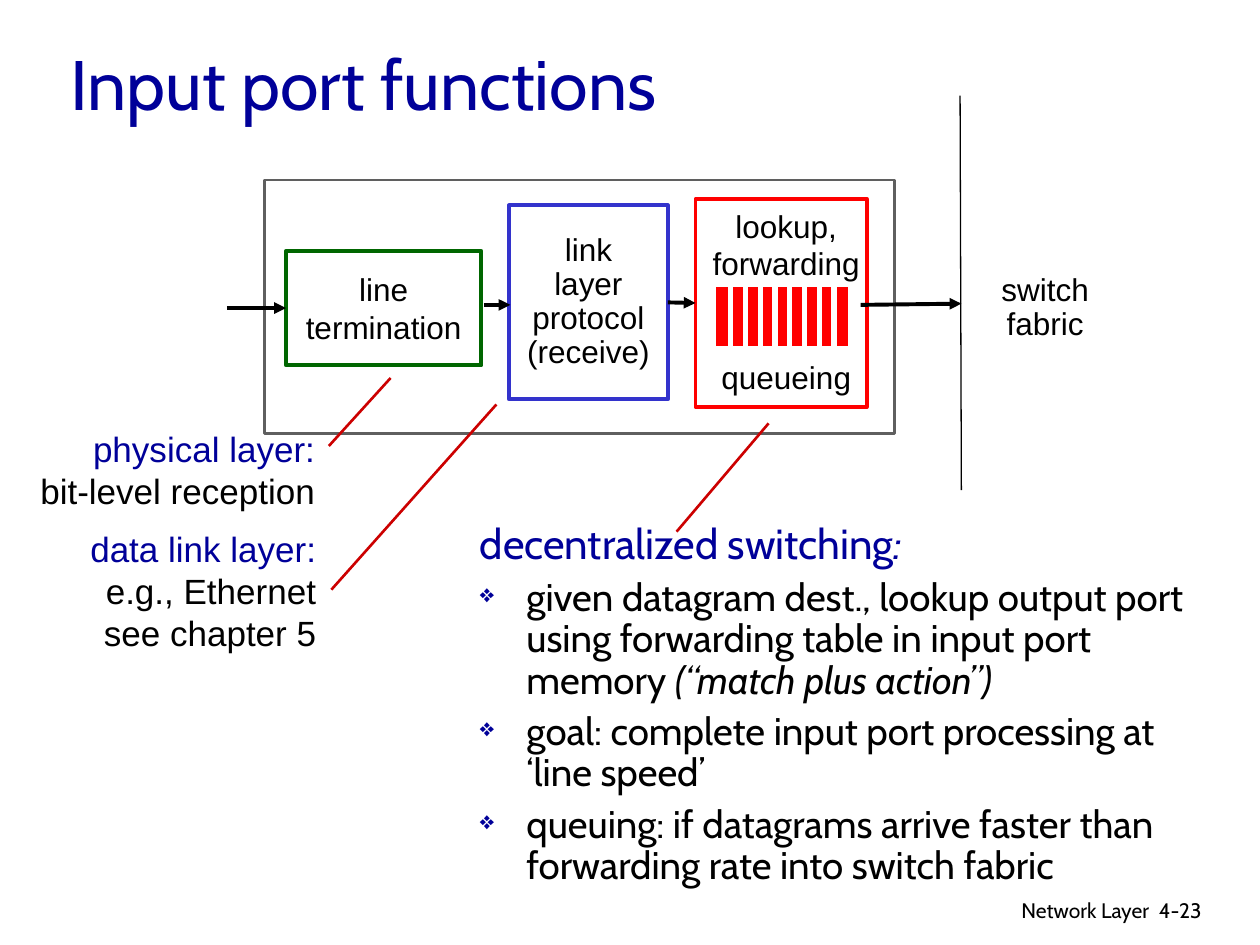
from pptx import Presentation
from pptx.dml.color import RGBColor
from pptx.enum.shapes import MSO_CONNECTOR as CONN, MSO_SHAPE as SHAPE
from pptx.enum.text import MSO_ANCHOR as ANCHOR, PP_ALIGN as ALIGN
from pptx.oxml.ns import qn
from pptx.util import Inches, Pt
from lxml.etree import SubElement

# Grid of 100 columns by 75 rows
COLS, ROWS = 100, 75
UNIT = Inches(10) / COLS
NAVY, BLACK, WHITE, RED, CRIMSON = "000099", "000000", "FFFFFF", "FF0000", "CC0000"
LEFT, CENTER, RIGHT = ALIGN.LEFT, ALIGN.CENTER, ALIGN.RIGHT


def color(hex_value):
    return RGBColor.from_string(hex_value)


def grid(*values):
    return [round(v * UNIT) for v in values]


def inside(box, x, y, w, h):
    """Box placed relative to the corner of another box."""
    return box[0] + x, box[1] + y, w, h


def style_run(r, size, font, hex_value, italic=False):
    r.font.size, r.font.name, r.font.italic = Pt(size), font, italic
    r.font.color.rgb = color(hex_value)


def write(sp, lines, size, font="Arial", colors=(BLACK,), align=CENTER,
          anchor=ANCHOR.TOP, wrap=False, spacing=1.0):
    """One paragraph per line; the last colour goes on for the remaining lines."""
    tf = sp.text_frame
    tf.text = "\n".join(lines)
    tf.word_wrap, tf.vertical_anchor = wrap, anchor
    for i, p in enumerate(tf.paragraphs):
        p.alignment, p.line_spacing = align, spacing
        for r in p.runs:
            style_run(r, size, font, colors[min(i, len(colors) - 1)])
    return tf


def add_text(shapes, box, lines, size, **options):
    return write(shapes.add_textbox(*grid(*box)), lines, size, **options)


def add_rect(shapes, box, line, width, fill=WHITE):
    sp = shapes.add_shape(SHAPE.RECTANGLE, *grid(*box))
    sp.shadow.inherit = False
    sp.fill.solid()
    sp.fill.fore_color.rgb = color(fill)
    sp.line.color.rgb = color(line)
    sp.line.width = Pt(width)
    return sp


def add_line(shapes, start, end, hex_value, width, arrow=False):
    s = shapes.add_connector(CONN.STRAIGHT, *grid(*start, *end))
    s.line.color.rgb = color(hex_value)
    s.line.width = Pt(width)
    if arrow:
        SubElement(s.line._get_or_add_ln(), qn("a:tailEnd"), type="triangle")
    SubElement(s._element.spPr, qn("a:effectLst"))
    return s


def add_queue(shapes, box):
    x, y, w, h = box
    group = shapes.add_group_shape().shapes
    add_rect(group, box, WHITE, 3, fill=RED)
    for i in range(8):
        stripe = x + 1.4 + 1.17 * i
        add_line(group, (stripe, y + 0.05), (stripe, y + h - 0.2), WHITE, 3)


def add_port(shapes, box):
    x, y, w, h = box
    add_rect(shapes, box, "5F5F5F", 1.5)

    # Three stages
    line_end = add_rect(shapes, inside(box, 1.7, 5.6, 15.5, 9.1), "006600", 2.25)
    write(line_end, ["line", "termination"], 18, anchor=ANCHOR.MIDDLE)
    link = add_rect(shapes, inside(box, 19.4, 2, 12.6, 15.4), "3333CC", 2.25)
    write(link, ["link", "layer", "protocol", "(receive)"], 18,
          anchor=ANCHOR.MIDDLE, spacing=0.9)
    lookup = add_rect(shapes, inside(box, 34.2, 1.5, 13.6, 16.5), RED, 2.25)
    for row, height, lines in ((1.6, 7, ["lookup,", "forwarding"]),
                               (13.6, 4, ["queueing"])):
        add_text(shapes, inside(box, 33.4, row, 16, height), lines, 18)
    add_queue(shapes, inside(box, 35.6, 8.3, 10.9, 5.1))

    # Arrows through the stages
    entry = add_line(shapes, (x - 3, y + 10.15), (x + 1.7, y + 10.15), BLACK, 2.25, True)
    entry.end_connect(line_end, 1)
    add_line(shapes, (x + 17.4, y + 9.9), (x + 19.5, y + 9.9), BLACK, 2.25, True)
    s = add_line(shapes, (x + 32, y + 9.7), (x + 34.2, y + 9.7), BLACK, 2.25, True)
    s.begin_connect(link, 3)
    s.end_connect(lookup, 1)
    add_line(shapes, (x + 47.3, y + 9.9), (x + 55.3, y + 9.8), BLACK, 2.25, True)


def add_fabric(shapes, box):
    x, y, w, h = box
    add_line(shapes, (x, y), (x + 0.1, y + h), BLACK, 0.75)
    add_text(shapes, inside(box, 1, 12.3, 11.5, 9.1), ["switch", "fabric"], 18,
             anchor=ANCHOR.MIDDLE, spacing=0.9)


def add_callout(shapes, box, lines, start, end):
    add_text(shapes, box, lines, 20, colors=(NAVY, BLACK), align=RIGHT)
    add_line(shapes, start, end, CRIMSON, 1.5)


def add_bullet(p):
    pPr = p._p.get_or_add_pPr()
    pPr.set("marL", str(Inches(0.37)))
    pPr.set("indent", str(-Inches(0.37)))
    clr = SubElement(pPr, qn("a:buClr"))
    SubElement(clr, qn("a:srgbClr"), val=NAVY)
    SubElement(pPr, qn("a:buSzPct"), val="65000")
    SubElement(pPr, qn("a:buChar"), char="❖")


def add_switching(shapes, box):
    heading = ("decentralized switching", ":")
    points = [
        ("given datagram dest., lookup output port using forwarding table "
         "in input port memory ", "(“match plus action”)"),
        ("goal: complete input port processing at ‘line speed’", ""),
        ("queuing: if datagrams arrive faster than forwarding rate "
         "into switch fabric", ""),
    ]
    tf = shapes.add_textbox(*grid(*box)).text_frame
    tf.word_wrap = True
    for i, (plain, italic) in enumerate([heading] + points):
        p = tf.add_paragraph() if i else tf.paragraphs[0]
        p.line_spacing = 0.9
        if i:
            p.space_before = Pt(5.5)
            add_bullet(p)
        size, hex_value = (22, BLACK) if i else (24, NAVY)
        for text, slanted in ((plain, False), (italic, True)):
            if text:
                r = p.add_run()
                r.text = text
                style_run(r, size, "Cabin", hex_value, slanted)


def add_footer(shapes, box):
    x, y, w, h = box
    add_text(shapes, (x, y, 31.7, h), ["Network Layer"], 12, font="Cabin",
             align=RIGHT, wrap=True)
    add_text(shapes, (x + 30.5, y, 7.4, h), ["4-23"], 12, font="Cabin",
             align=LEFT, wrap=True)


def main():
    prs = Presentation()
    prs.slide_width, prs.slide_height = grid(COLS, ROWS)
    shapes = prs.slides.add_slide(prs.slide_layouts[6]).shapes

    add_text(shapes, (4.6, 3.2, 85, 6.7), ["Input port functions"], 40, font="Cabin",
             colors=(NAVY,), align=LEFT, anchor=ANCHOR.MIDDLE, wrap=True)
    add_port(shapes, (21, 14.3, 50, 20.1))
    add_fabric(shapes, (76.2, 7.6, 12.5, 31.3))
    add_callout(shapes, (1.2, 33.4, 24.8, 7.7),
                ["physical layer:", "bit-level reception"], (26.1, 35.4), (31, 30))
    add_callout(shapes, (5.1, 41.4, 21, 11),
                ["data link layer:", "e.g., Ethernet", "see chapter 5"],
                (26.3, 46.8), (39.4, 32.1))
    add_switching(shapes, (37.1, 41, 59.7, 29.2))
    add_line(shapes, (53.7, 42.2), (61, 33.6), CRIMSON, 1.5)
    add_footer(shapes, (60.5, 70.7, 37.9, 3.1))
    prs.save("out.pptx")


if __name__ == "__main__":
    main()
